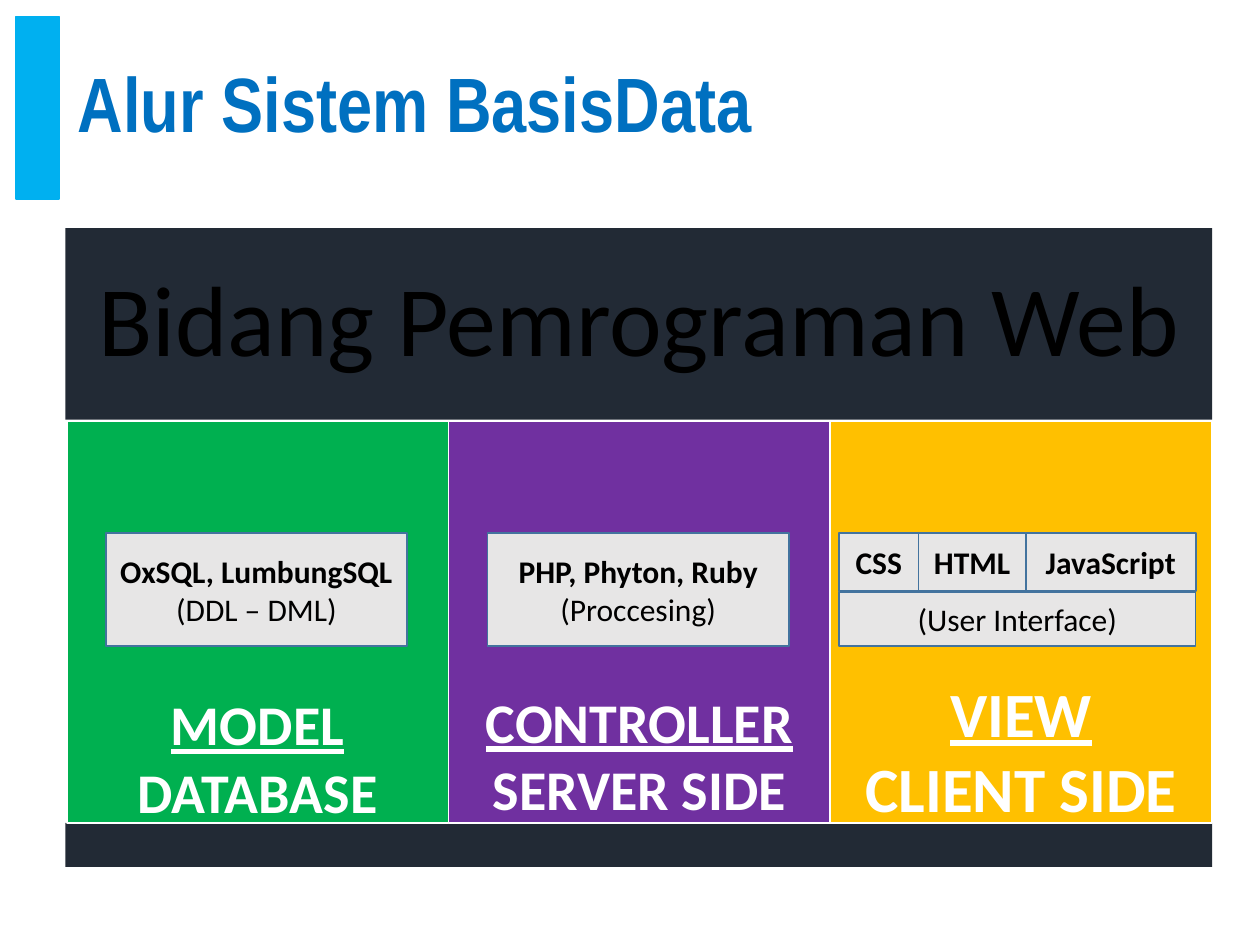
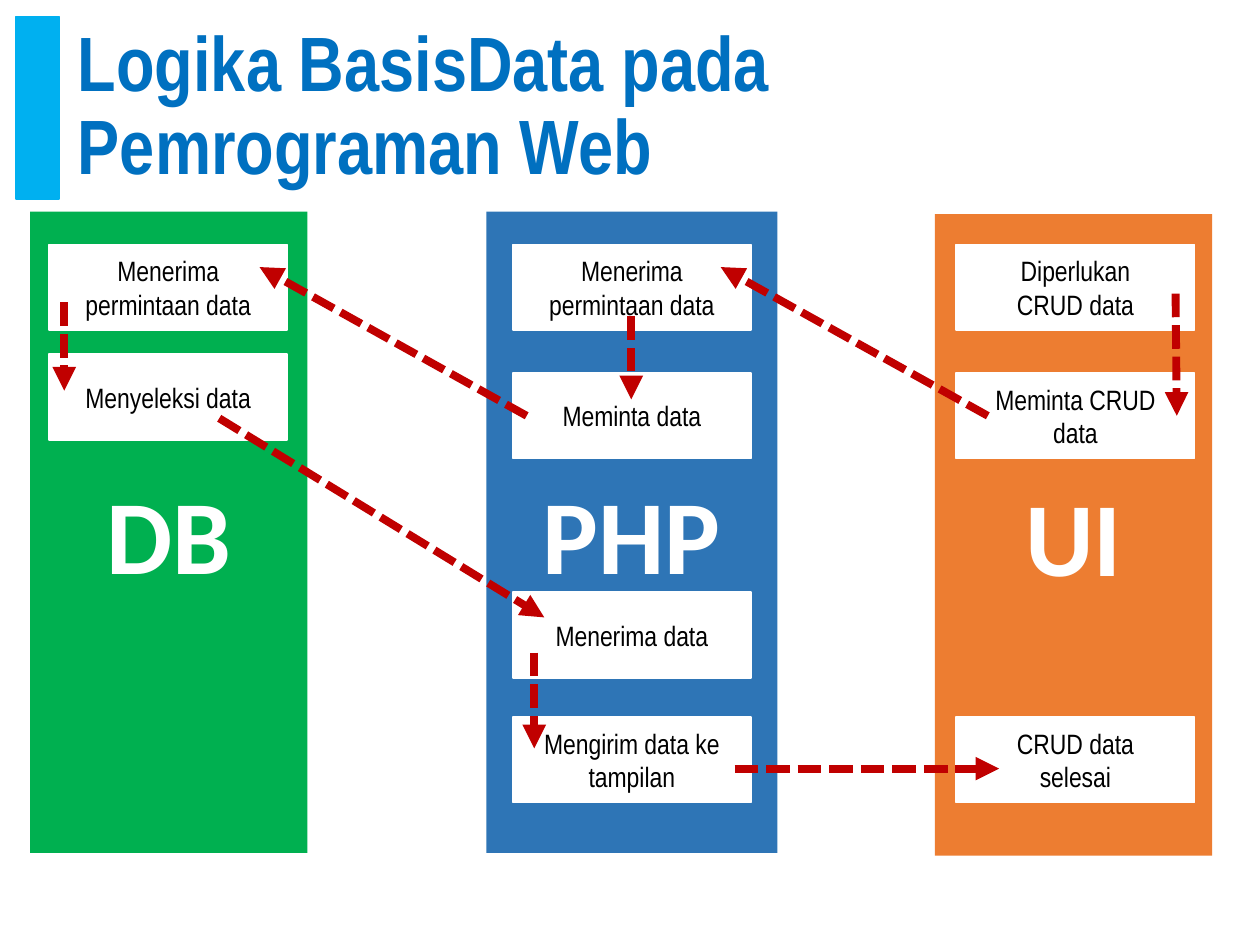
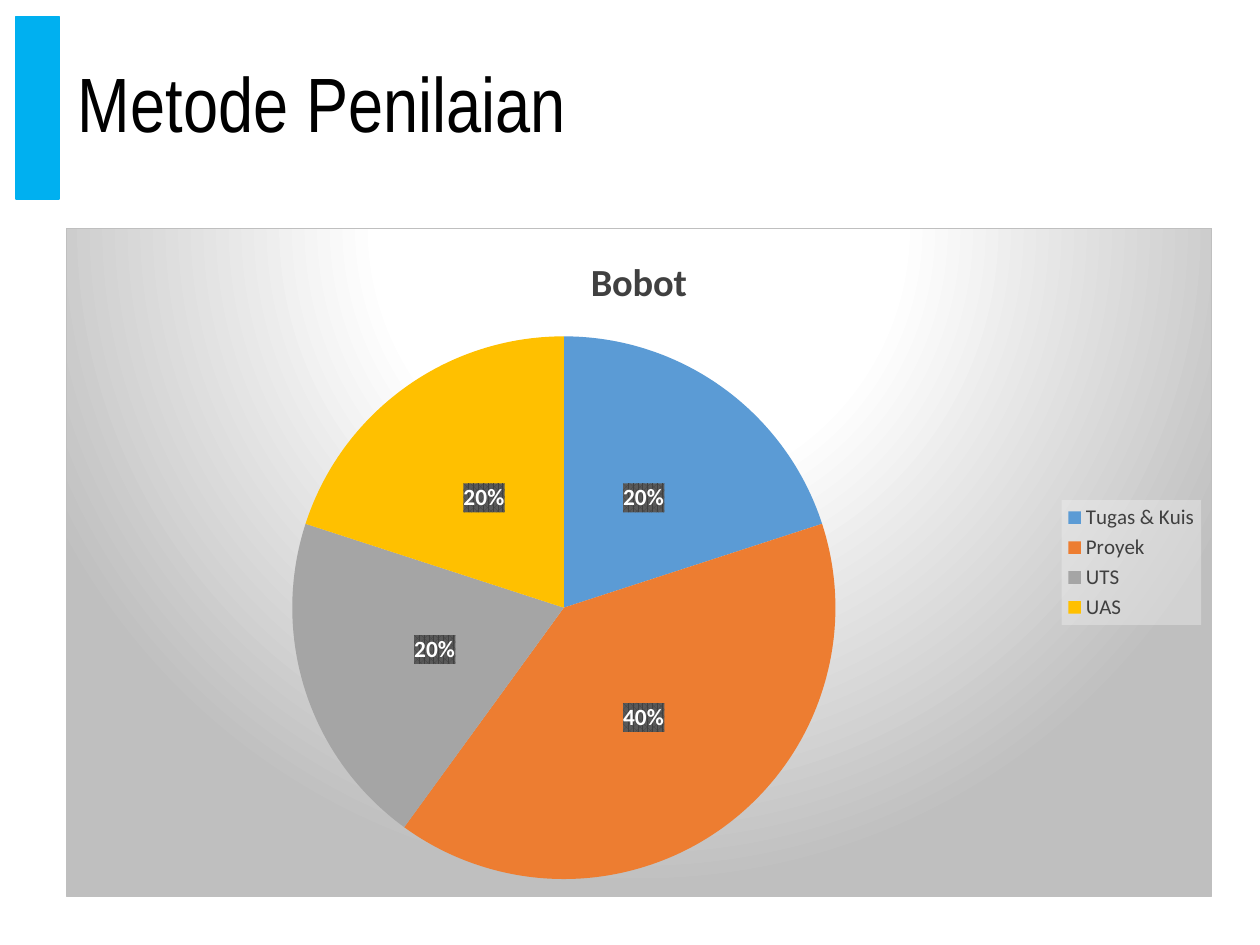
from pptx import Presentation
from pptx.chart.data import CategoryChartData as ChartData
from pptx.dml.color import RGBColor as Rgb
from pptx.enum.chart import XL_CHART_TYPE as Kind, XL_LABEL_POSITION as Spot, XL_LEGEND_POSITION as Side
from pptx.enum.dml import MSO_LINE as Dash
from pptx.enum.shapes import MSO_CONNECTOR as Link, MSO_SHAPE as Form
from pptx.enum.text import MSO_ANCHOR as Anchor, PP_ALIGN as Align
from pptx.oxml import parse_xml
from pptx.oxml.ns import nsdecls
from pptx.util import Inches, Pt

COLORS = {
    "white": "FFFFFF", "black": "000000", "cyan": "00B0F0", "title": "0070C0",
    "dark": "222A35", "green": "00B050", "purple": "7030A0", "gold": "FFC000",
    "gray": "E7E6E6", "edge": "43739E", "orange": "ED7D31", "blue": "2E75B6",
    "red": "C00000", "sky": "5B9BD5", "steel": "A5A5A5", "text": "404040",
}
HUES = {name: Rgb.from_string(code) for name, code in COLORS.items()}
BODY, HEAD = "Calibri", "Arial Narrow"


def write(shape, text, size, hue="black", bold=False, font=BODY, align=Align.CENTER):
    frame = shape.text_frame
    frame.word_wrap = True
    frame.vertical_anchor = Anchor.MIDDLE
    frame.text = text
    for para in frame.paragraphs:
        para.alignment = align
        para.font.name, para.font.size, para.font.bold = font, Pt(size), bold
        para.font.color.rgb = HUES[hue]
    return frame.paragraphs


def box(slide, x, y, w, h, fill, edge=None):
    shape = slide.shapes.add_shape(Form.RECTANGLE, Inches(x), Inches(y), Inches(w), Inches(h))
    shape.shadow.inherit = False
    shape.fill.solid()
    shape.fill.fore_color.rgb = HUES[fill]
    if edge:
        shape.line.color.rgb = HUES[edge]
        shape.line.width = Pt(1)
    else:
        shape.line.fill.background()
    return shape


prs = Presentation()
prs.slide_width, prs.slide_height = Inches(10), Inches(7.5)

# Shared band and title
slides = []
for title, hue, bold in [
    ("Alur Sistem BasisData", "title", True),
    ("Logika BasisData pada Pemrograman Web", "title", True),
    ("Metode Penilaian", "black", False),
]:
    slide = prs.slides.add_slide(prs.slide_layouts[6])
    box(slide, 0.13, 0.13, 0.34, 1.45, "cyan", "cyan")
    area = slide.shapes.add_textbox(Inches(0.52), Inches(0.13), Inches(9.1), Inches(1.45))
    write(area, title, 44, hue, bold, HEAD, Align.LEFT)[0].line_spacing = 0.9
    slides.append(slide)
flow, logic, grade = slides

# Slide 1: banner and base
banner = box(flow, 0.52, 1.81, 9.1, 1.52, "dark")
write(banner, "Bidang Pemrograman Web", 57)[0].line_spacing = 0.9
box(flow, 0.52, 6.53, 9.1, 0.35, "dark")

# Slide 1: three layers
for i, (name, fill, size, mid) in enumerate([
    ("MODEL\nDATABASE", "green", 32, 6.01),
    ("CONTROLLER\nSERVER SIDE", "purple", 32, 5.99),
    ("VIEW\nCLIENT SIDE", "gold", 36, 5.95),
]):
    x = 0.53 + 3.03 * i
    box(flow, x, 3.34, 3.03, 3.19, fill, "white")
    label = flow.shapes.add_textbox(Inches(x), Inches(mid - 0.65), Inches(3.03), Inches(1.3))
    write(label, name, size, "white", True)[0].font.underline = True

# Slide 1: tools in each layer
for x, tools in [(0.84, "OxSQL, LumbungSQL\n(DDL – DML)"), (3.87, "PHP, Phyton, Ruby\n(Proccesing)")]:
    card = box(flow, x, 4.23, 2.39, 0.9, "gray", "edge")
    write(card, tools, 18, bold=True)[1].font.bold = False
for x, y, w, h, tool, bold in [
    (7.29, 4.23, 0.85, 0.46, "HTML", True),
    (6.66, 4.23, 0.63, 0.46, "CSS", True),
    (8.14, 4.23, 1.35, 0.46, "JavaScript", True),
    (6.66, 4.7, 2.83, 0.43, "(User Interface)", False),
]:
    write(box(flow, x, y, w, h, "gray", "edge"), tool, 18, bold=bold)

# Slide 2: lanes with their steps
for x, y, w, fill, lane, left, steps in [
    (7.42, 1.7, 2.2, "orange", "UI", 7.59, [
        (1.94, "Diperlukan\nCRUD data"), (2.96, "Meminta CRUD\ndata"), (5.69, "CRUD data\nselesai")]),
    (0.24, 1.68, 2.2, "green", "DB", 0.39, [
        (1.94, "Menerima permintaan data"), (2.81, "Menyeleksi data")]),
    (3.86, 1.68, 2.31, "blue", "PHP", 4.07, [
        (1.94, "Menerima permintaan data"), (2.96, "Meminta data"),
        (4.7, "Menerima data"), (5.69, "Mengirim data ke tampilan")]),
]:
    write(box(logic, x, y, w, 5.09, fill), lane, 60, "white", True)
    for top, step in steps:
        write(box(logic, left, top, 1.89, 0.68, "white", "white"), step, 16, font=HEAD)

# Slide 2: arrows
for ends in [
    (7.84, 3.3, 5.72, 2.12), (9.33, 2.33, 9.34, 3.3), (5.01, 2.51, 5.01, 3.17),
    (4.18, 3.3, 2.06, 2.12), (0.51, 2.4, 0.51, 3.1), (1.74, 3.32, 4.32, 4.9),
    (4.24, 5.18, 4.24, 5.94), (5.83, 6.1, 7.93, 6.1),
]:
    arrow = logic.shapes.add_connector(Link.STRAIGHT, *map(Inches, ends))
    arrow.line.color.rgb = HUES["red"]
    arrow.line.width = Pt(4.5)
    arrow.line.dash_style = Dash.SQUARE_DOT
    arrow.line._get_or_add_ln().append(parse_xml(f'<a:tailEnd {nsdecls("a")} type="triangle"/>'))
    arrow._element.spPr.append(parse_xml(f'<a:effectLst {nsdecls("a")}/>'))

# Slide 3: pie chart
data = ChartData()
data.categories = ["Tugas & Kuis", "Proyek", "UTS", "UAS"]
data.add_series("Bobot", (20, 40, 20, 20))
chart = grade.shapes.add_chart(
    Kind.PIE, Inches(0.52), Inches(1.81), Inches(9.1), Inches(5.31), data).chart
chart.font.name, chart.font.size = BODY, Pt(10)
chart.has_title = True
head = chart.chart_title.text_frame
head.text = "Bobot"
font = head.paragraphs[0].font
font.name, font.size, font.bold = BODY, Pt(22), True
font.color.rgb = HUES["text"]

plot = chart.plots[0]
plot.vary_by_categories = True
for i, hue in enumerate(["sky", "orange", "steel", "gold"]):
    fill = plot.series[0].points[i].format.fill
    fill.solid()
    fill.fore_color.rgb = HUES[hue]

# Slide 3: labels and legend
plot.has_data_labels = True
labels = plot.data_labels
labels.show_percentage, labels.show_value = True, False
labels.number_format, labels.number_format_is_linked = "0%", False
labels.position = Spot.CENTER
labels.font.name, labels.font.size, labels.font.bold = BODY, Pt(13.3), True
labels.font.color.rgb = HUES["white"]
chart.has_legend = True
legend = chart.legend
legend.position, legend.include_in_layout = Side.RIGHT, False
legend.font.name, legend.font.size = BODY, Pt(12)
legend.font.color.rgb = HUES["text"]

# Slide 3: backgrounds of labels, legend and chart
for part, paint in [
    (labels._element, '<a:pattFill prst="pct75"><a:fgClr><a:srgbClr val="404040"/></a:fgClr>'
     '<a:bgClr><a:srgbClr val="595959"/></a:bgClr></a:pattFill>'),
    (legend._element, '<a:solidFill><a:srgbClr val="F2F2F2"><a:alpha val="39000"/></a:srgbClr></a:solidFill>'),
    (chart._chartSpace, '<a:gradFill><a:gsLst><a:gs pos="0"><a:srgbClr val="FFFFFF"/></a:gs>'
     '<a:gs pos="39000"><a:srgbClr val="FFFFFF"/></a:gs><a:gs pos="100000"><a:srgbClr val="BFBFBF"/></a:gs></a:gsLst>'
     '<a:path path="circle"><a:fillToRect l="50000" t="-80000" r="50000" b="180000"/></a:path></a:gradFill>'
     '<a:ln w="9525"><a:solidFill><a:srgbClr val="BFBFBF"/></a:solidFill></a:ln>'),
]:
    look = parse_xml(f'<c:spPr {nsdecls("c", "a")}>{paint}</c:spPr>')
    part.find("{*}txPr").addprevious(look)

prs.save("out.pptx")
